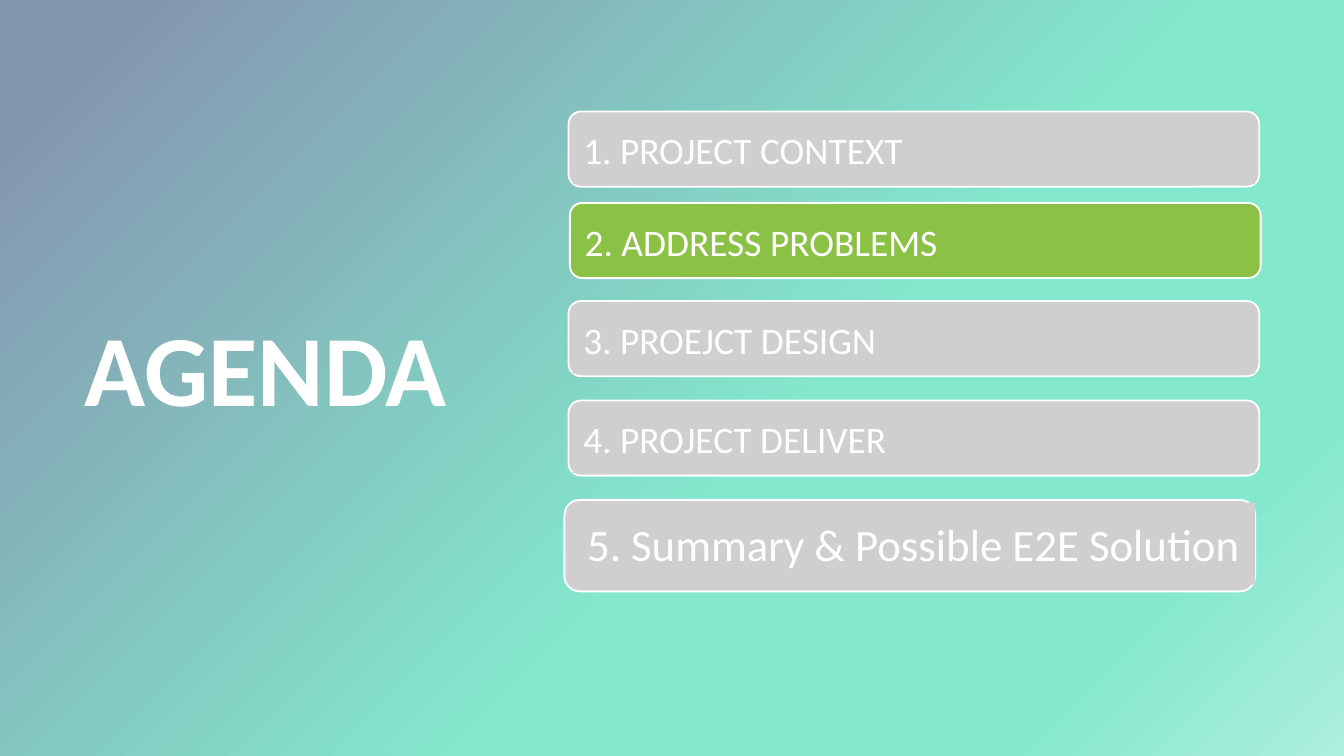
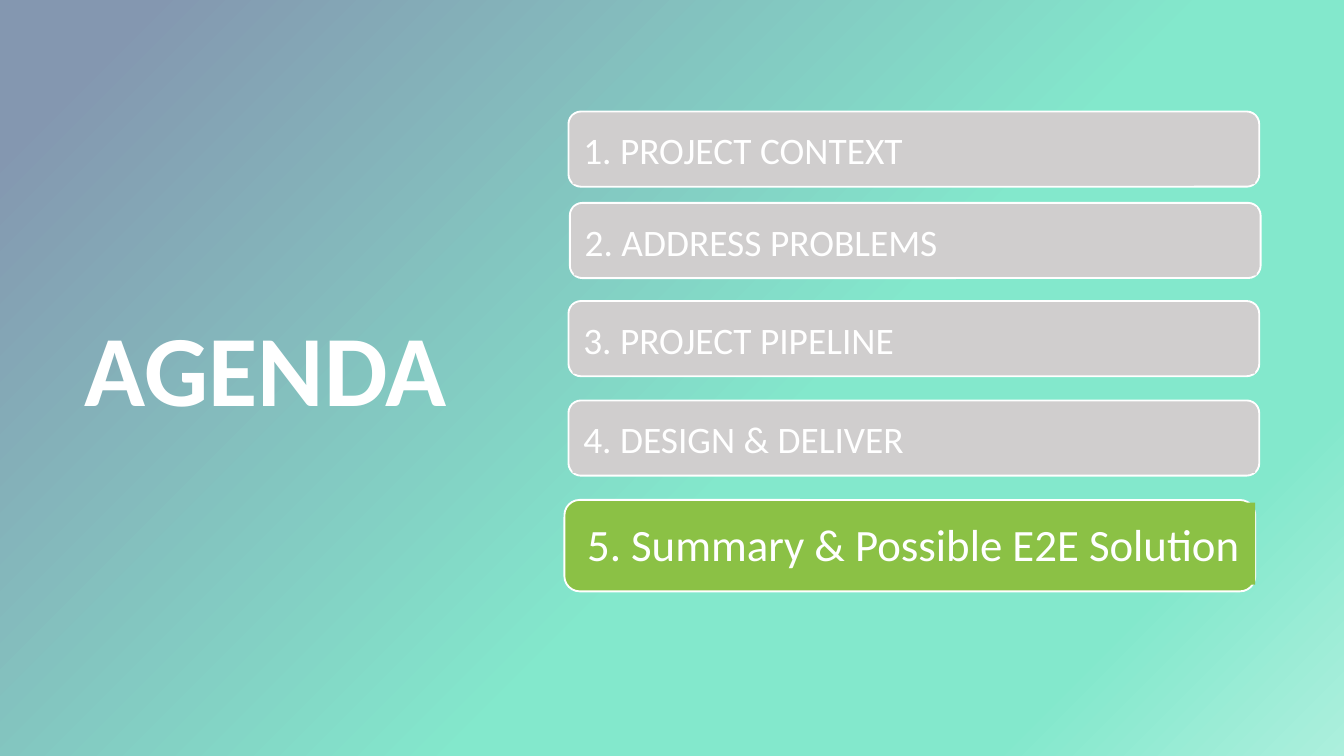
from lxml.etree import SubElement
from pptx import Presentation
from pptx.dml.color import RGBColor
from pptx.enum.shapes import MSO_SHAPE
from pptx.enum.text import MSO_ANCHOR, MSO_AUTO_SIZE, PP_ALIGN
from pptx.oxml.ns import qn
from pptx.util import Inches, Pt

WHITE, GRAY, GREEN = "FFFFFF", "D0CECE", "8BC145"
FADE = [(7, "8497B0"), (58, "83E8CC"), (83, "83E8CC"), (100, "ACEFDD")]

# Bars: left, top, width, height
BARS = [
    (4.23, 0.83, 5.14, 0.56),
    (4.24, 1.51, 5.14, 0.56),
    (4.23, 2.24, 5.14, 0.56),
    (4.23, 2.98, 5.14, 0.56),
    (4.2, 3.72, 5.14, 0.68),
]
# Label inside its bar: left and top offset, width, height, text size, inset
LABEL = (0.03, 0.03, 5.08, 0.51, 20, 0.08)
LAST = (0.07, 0.02, 5.07, 0.61, 24, 0.1)

# Active item, fill of its label, items
AGENDAS = [
    (2, None, ["1. PROJECT CONTEXT", "2. ADDRESS PROBLEMS",
               "3. PROEJCT DESIGN", "4. PROJECT DELIVER",
               "5. Summary & Possible E2E Solution"]),
    (5, GREEN, ["1. PROJECT CONTEXT", "2. ADDRESS PROBLEMS",
                "3. PROJECT PIPELINE", "4. DESIGN & DELIVER",
                "5. Summary & Possible E2E Solution"]),
]


def color(code):
    return RGBColor.from_string(code)


def write(shape, text, size, bold=False, inset=None, space=None):
    frame = shape.text_frame
    frame.text = text
    frame.word_wrap = True
    frame.auto_size = MSO_AUTO_SIZE.NONE
    frame.vertical_anchor = MSO_ANCHOR.MIDDLE
    if inset is not None:
        frame.margin_left = frame.margin_right = Inches(inset)
        frame.margin_top = frame.margin_bottom = Inches(inset)
    para = frame.paragraphs[0]
    para.alignment = PP_ALIGN.LEFT
    if space:
        para.line_spacing = space
    font = para.runs[0].font
    font.name, font.size, font.bold = "Calibri", Pt(size), bold
    font.color.rgb = color(WHITE)


class Deck:
    def __init__(self):
        self.show = Presentation()
        self.show.slide_width = Inches(10)
        self.show.slide_height = Inches(10) * 9 // 16
        self.slide = None

    def page(self, title):
        self.slide = self.show.slides.add_slide(self.show.slide_layouts[5])
        self.fade()
        head = self.slide.shapes.title
        head.left, head.top = Inches(0.53), Inches(0.52)
        head.width, head.height = Inches(3.01), Inches(4.52)
        write(head, title, 54, bold=True, space=0.9)

    def fade(self):
        """Fill the background with the diagonal gradient."""
        fill = self.slide.background.fill
        fill.gradient()
        fill.gradient_angle = 315
        stops = self.slide._element.find(".//" + qn("a:gsLst"))
        for stop in list(stops):
            stops.remove(stop)
        for place, code in FADE:
            stop = SubElement(stops, qn("a:gs"), pos=str(place * 1000))
            SubElement(stop, qn("a:srgbClr"), val=code)

    def box(self, group, kind, left, top, width, height, fill, line=None):
        shape = group.shapes.add_shape(
            kind, Inches(left), Inches(top), Inches(width), Inches(height))
        shape.shadow.inherit = False
        if fill:
            shape.fill.solid()
            shape.fill.fore_color.rgb = color(fill)
        else:
            shape.fill.background()
        if line:
            shape.line.color.rgb = color(line)
            shape.line.width = Pt(1)
        else:
            shape.line.fill.background()
        return shape

    def bar(self, text, place, label, fill, back):
        group = self.slide.shapes.add_group_shape()
        self.box(group, MSO_SHAPE.ROUNDED_RECTANGLE, *place, fill, WHITE)
        right, down, width, height, size, inset = label
        inner = self.box(group, MSO_SHAPE.RECTANGLE, place[0] + right,
                         place[1] + down, width, height, back)
        write(inner, text, size, inset=inset)


def main():
    deck = Deck()
    for active, back, items in AGENDAS:
        deck.page("AGENDA")
        for index, (text, place) in enumerate(zip(items, BARS), 1):
            label = LAST if index == len(BARS) else LABEL
            fills = (GREEN, back) if index == active else (GRAY, GRAY)
            deck.bar(text, place, label, *fills)
    deck.show.save("out.pptx")


if __name__ == "__main__":
    main()
